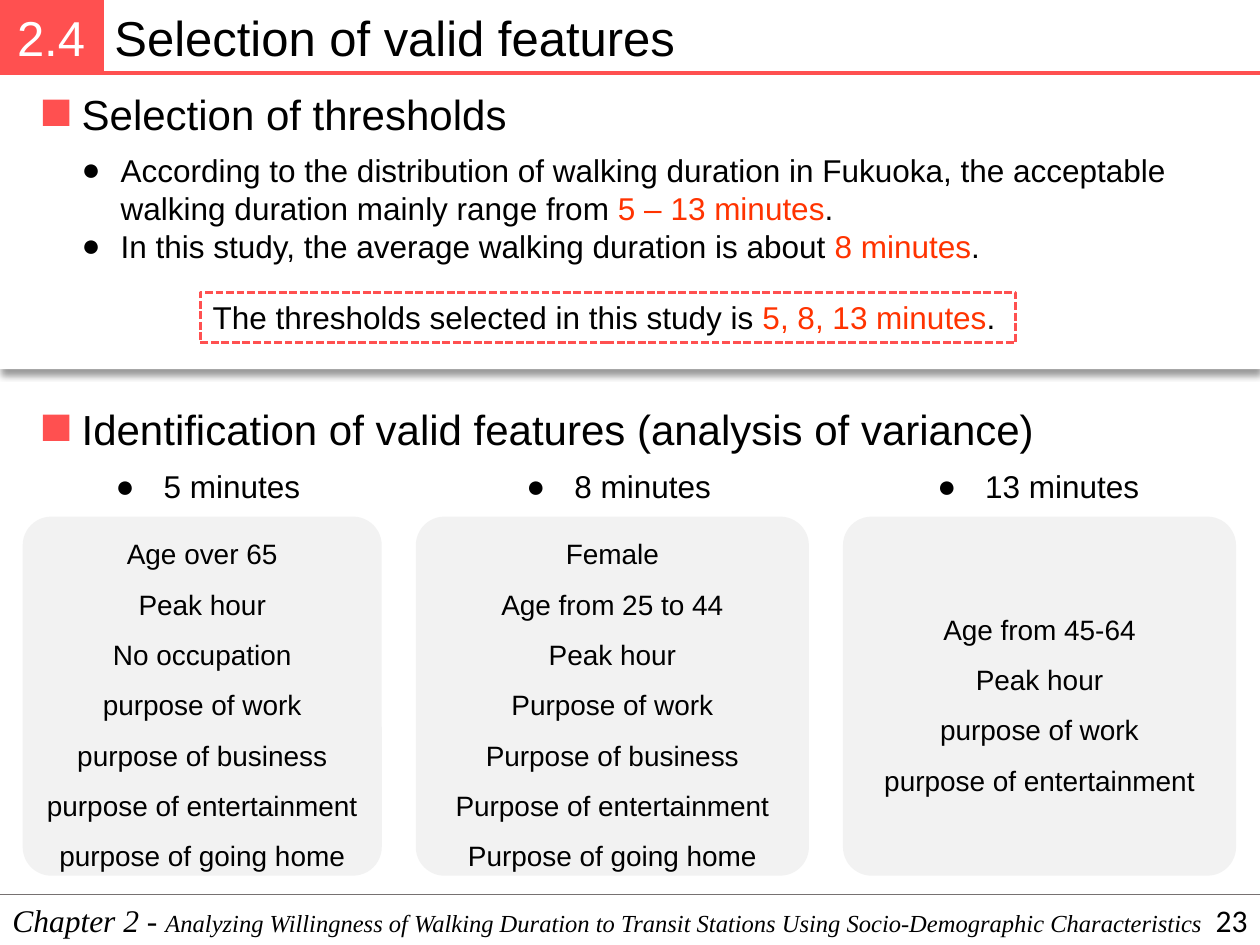
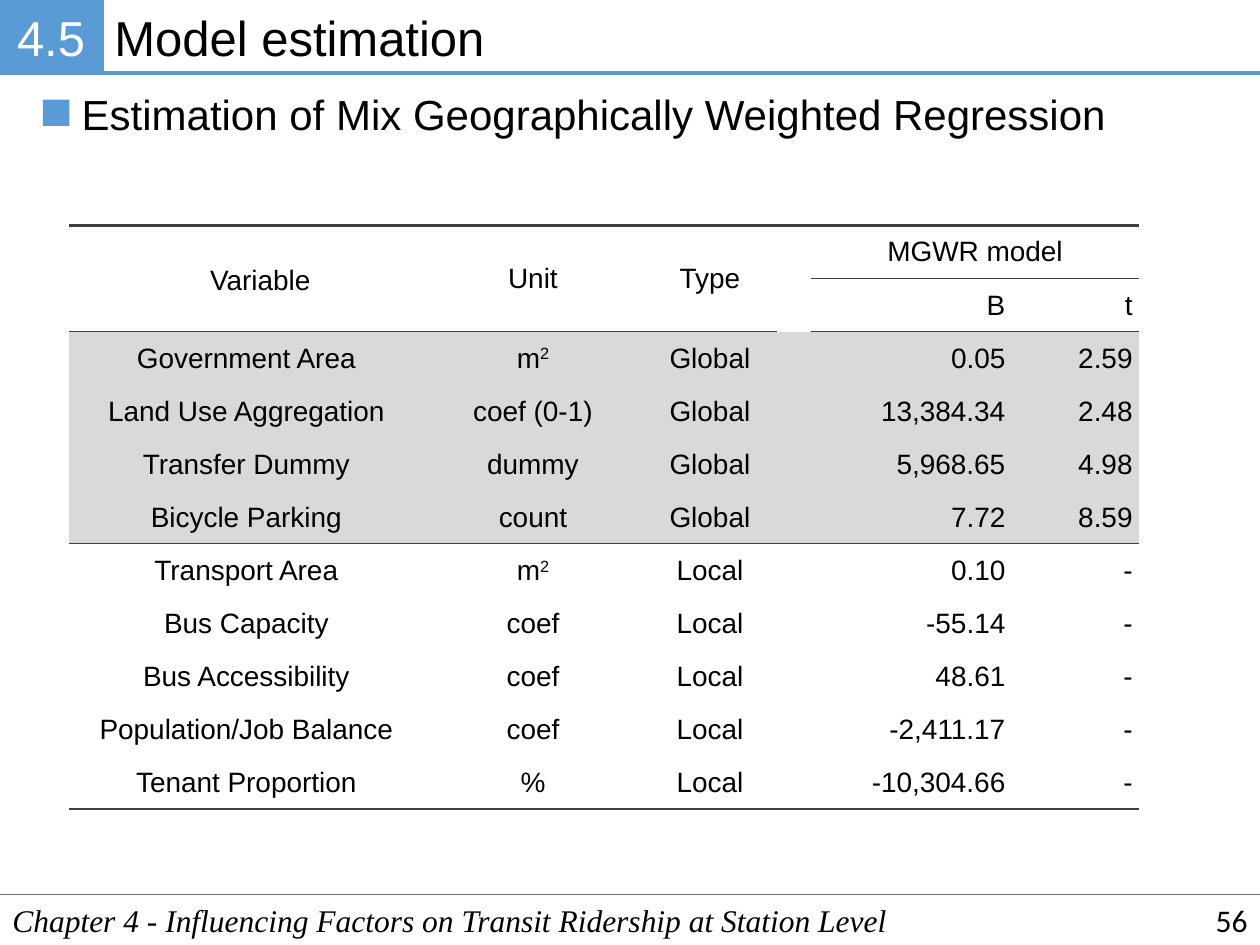
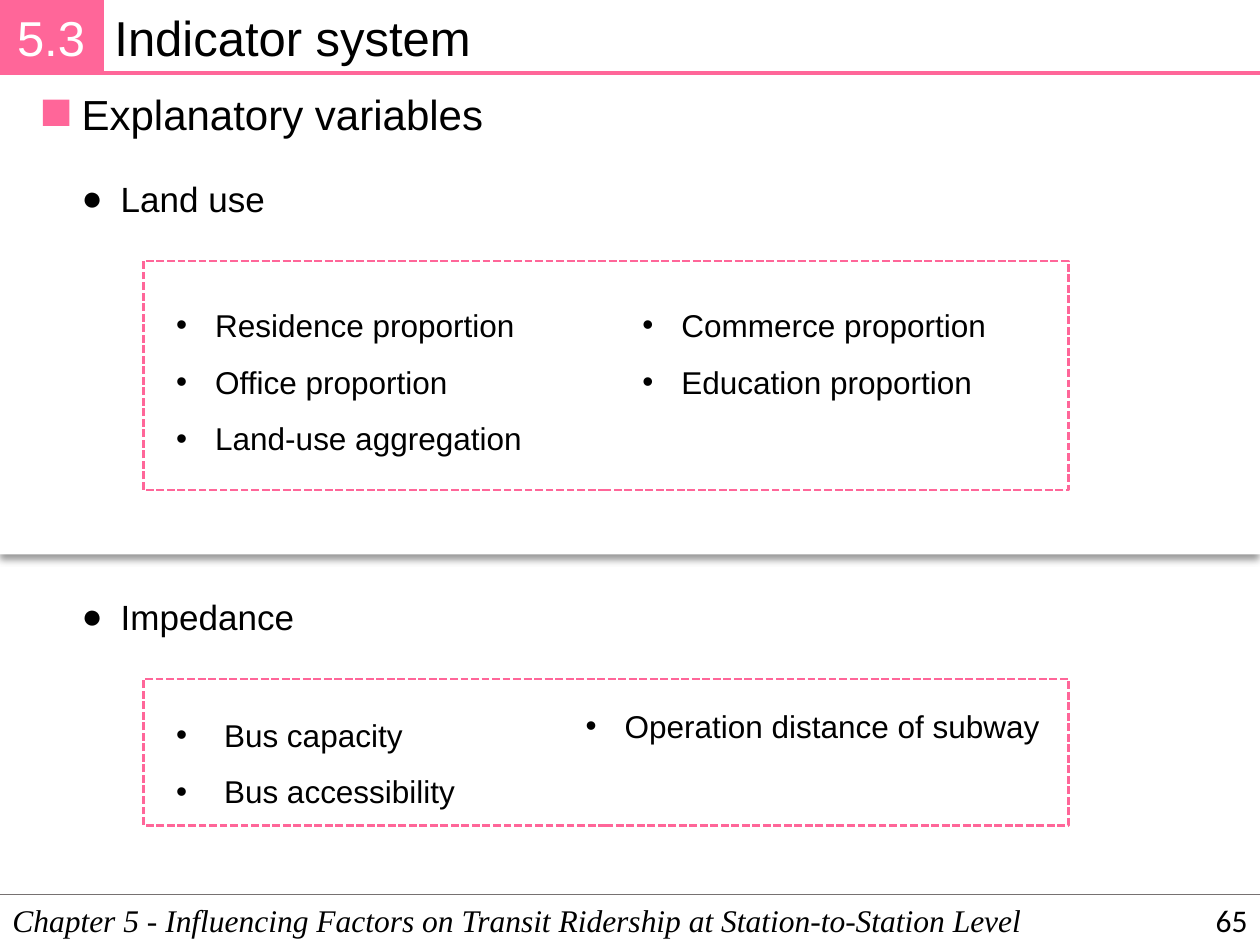
import dataclasses
from typing import NamedTuple

import lxml.etree
import pptx
import pptx.dml.color
import pptx.enum.dml
import pptx.enum.shapes
import pptx.enum.text
import pptx.oxml.ns
import pptx.shapes.autoshape
import pptx.shapes.connector
import pptx.shapes.shapetree
import pptx.slide
import pptx.table
import pptx.text.text
import pptx.util

Inches = pptx.util.Inches
Pt = pptx.util.Pt
qn = pptx.oxml.ns.qn
Align = pptx.enum.text.PP_ALIGN
Anchor = pptx.enum.text.MSO_ANCHOR
Preset = pptx.enum.shapes.MSO_SHAPE

BLACK = "000000"
WHITE = "FFFFFF"
HIGHLIGHT = "FF3300"
FOOTER_RULE = "767171"
CARD_FILL = "F2F2F2"
TABLE_RULE = "404040"
TABLE_SHADE = "D9D9D9"


class Box(NamedTuple):
    left: float
    top: float
    width: float
    height: float


class Run(NamedTuple):
    text: str
    color: str | None = None
    size: float | None = None
    raised: bool = False


Line = str | list[Run]


@dataclasses.dataclass(frozen=True)
class Style:
    size: float
    font: str = "Arial"
    color: str = BLACK
    align: Align = Align.LEFT
    spacing: float | None = None
    bullet: str | None = None
    indent: float = 0.31
    italic: bool = False


@dataclasses.dataclass(frozen=True)
class Section:
    number: str
    title: str
    accent: str
    chapter: Line
    page: str


@dataclasses.dataclass(frozen=True)
class FeatureCard:
    heading: str
    heading_left: float
    heading_width: float
    left: float
    width: float
    features: list[Line]


@dataclasses.dataclass(frozen=True)
class VariableList:
    box: Box
    style: Style
    wrap: bool
    variables: list[Line]


TITLE = Style(28)
SECTION_NUMBER = Style(28, color=WHITE, align=Align.CENTER)
HEADING = Style(24)
BODY = Style(18)
POINT = Style(18, bullet="●")
GROUP_POINT = Style(20, bullet="●")
THRESHOLD = Style(18, bullet="●", indent=0.38, align=Align.JUSTIFY)
FEATURE = Style(16, align=Align.CENTER, spacing=1.5)
VARIABLE = Style(18, bullet="•", spacing=1.5)
CHAPTER = Style(18, font="Times New Roman", italic=True)
PAGE = Style(18, font="Calibri", align=Align.RIGHT)
CELL = Style(16, align=Align.CENTER)
NUMBER_CELL = dataclasses.replace(CELL, align=Align.RIGHT)

SECTIONS = [
    Section("2.4", "Selection of valid features", "FF5050",
            [Run("Chapter 2 - "),
             Run("Analyzing Willingness of Walking Duration to Transit Stations "
                 "Using Socio-Demographic Characteristics", size=14)], "23"),
    Section("4.5", "Model estimation", "5B9BD5",
            "Chapter 4 - Influencing Factors on Transit Ridership at Station Level", "56"),
    Section("5.3", "Indicator system", "FF6699",
            "Chapter 5 - Influencing Factors on Transit Ridership at Station-to-Station Level", "65"),
]

FEATURE_CARDS = [
    FeatureCard("5 minutes", 0.82, 1.67, 0.18, 2.85,
                ["Age over 65", "Peak hour", "No occupation", "purpose of work",
                 "purpose of business", "purpose of entertainment", "purpose of going home"]),
    FeatureCard("8 minutes", 4.08, 1.67, 3.3, 3.12,
                ["Female", "Age from 25 to 44", "Peak hour", "Purpose of work",
                 "Purpose of business", "Purpose of entertainment", "Purpose of going home"]),
    FeatureCard("13 minutes", 7.34, 1.81, 6.69, 3.12,
                ["Age from 45-64", "Peak hour", "purpose of work", "purpose of entertainment"]),
]

VARIABLE_LISTS = [
    VariableList(Box(1.3, 2.23, 2.97, 1.41), VARIABLE, False,
                 ["Residence proportion", "Office proportion", "Land-use aggregation"]),
    VariableList(Box(5, 2.23, 2.96, 0.95), VARIABLE, False,
                 ["Commerce proportion", "Education proportion"]),
    VariableList(Box(1.3, 5.48, 2.83, 0.95), dataclasses.replace(VARIABLE, indent=0.38), True,
                 ["Bus capacity", "Bus accessibility"]),
    VariableList(Box(4.55, 5.56, 3.94, 0.4), dataclasses.replace(VARIABLE, spacing=None), True,
                 ["Operation distance of subway"]),
]

SQUARE_METRE = [Run("m"), Run("2", raised=True)]
MODEL_ROWS: list[list[Line]] = [
    ["　Variable", "Unit", "Type", "", "MGWR model", ""],
    ["", "", "", "", "B", "t"],
    ["Government Area", SQUARE_METRE, "Global", "", "0.05", "2.59"],
    ["Land Use Aggregation", "coef (0-1)", "Global", "", "13,384.34", "2.48"],
    ["Transfer Dummy", "dummy", "Global", "", "5,968.65", "4.98"],
    ["Bicycle Parking", "count", "Global", "", "7.72", "8.59"],
    ["Transport Area", SQUARE_METRE, "Local", "", "0.10", "-"],
    ["Bus Capacity", "coef", "Local", "", "-55.14", "-"],
    ["Bus Accessibility", "coef", "Local", "", "48.61", "-"],
    ["Population/Job Balance", "coef", "Local", "", "-2,411.17", "-"],
    ["Tenant Proportion", "%", "Local", "", "-10,304.66", "-"],
]
MODEL_WIDTHS = [2.81, 1.74, 1.07, 0.27, 1.59, 1.01]
GAP_COLUMN = 3
FIRST_GLOBAL, FIRST_LOCAL = 2, 6


def rgb(color: str) -> pptx.dml.color.RGBColor:
    return pptx.dml.color.RGBColor.from_string(color)


def emu(box: Box) -> list[pptx.util.Length]:
    return [Inches(length) for length in box]


def write(frame: pptx.text.text.TextFrame, lines: list[Line], style: Style) -> None:
    for index, line in enumerate(lines):
        paragraph = frame.add_paragraph() if index else frame.paragraphs[0]
        paragraph.alignment = style.align
        if style.spacing:
            paragraph.line_spacing = style.spacing
        if style.bullet:
            properties = paragraph._p.get_or_add_pPr()
            properties.set("marL", str(Inches(style.indent)))
            properties.set("indent", str(-Inches(style.indent)))
            lxml.etree.SubElement(properties, qn("a:buFont"), typeface="Arial")
            lxml.etree.SubElement(properties, qn("a:buChar"), char=style.bullet)
        paragraph.font.name = style.font
        paragraph.font.size = Pt(style.size)
        paragraph.font.color.rgb = rgb(style.color)
        if style.italic:
            paragraph.font.italic = True
        for piece in [Run(line)] if isinstance(line, str) else line:
            run = paragraph.add_run()
            run.text = piece.text
            if piece.color:
                run.font.color.rgb = rgb(piece.color)
            if piece.size:
                run.font.size = Pt(piece.size)
            if piece.raised:
                run._r.get_or_add_rPr().set("baseline", "30000")


def add_text(shapes: pptx.shapes.shapetree.SlideShapes, box: Box, lines: list[Line],
             style: Style, wrap: bool = True, anchor: Anchor = Anchor.TOP) -> None:
    frame = shapes.add_textbox(*emu(box)).text_frame
    frame.word_wrap = wrap
    frame.vertical_anchor = anchor
    write(frame, lines, style)


def add_block(shapes: pptx.shapes.shapetree.SlideShapes, box: Box, fill: str | None,
              preset: Preset = Preset.RECTANGLE) -> pptx.shapes.autoshape.Shape:
    block = shapes.add_shape(preset, *emu(box))
    block.shadow.inherit = False
    if fill:
        block.fill.solid()
        block.fill.fore_color.rgb = rgb(fill)
    else:
        block.fill.background()
    block.line.fill.background()
    return block


def add_dashed_frame(slide: pptx.slide.Slide, box: Box, color: str) -> pptx.shapes.autoshape.Shape:
    frame = add_block(slide.shapes, box, None)
    frame.line.color.rgb = rgb(color)
    frame.line.width = Pt(1.5)
    frame.line.dash_style = pptx.enum.dml.MSO_LINE.SQUARE_DOT
    return frame


def add_rule(slide: pptx.slide.Slide, left: float, top: float, color: str, weight: float) -> None:
    rule = slide.shapes.add_connector(pptx.enum.shapes.MSO_CONNECTOR.STRAIGHT,
                                      Inches(left), Inches(top), Inches(10), Inches(top))
    rule.line.color.rgb = rgb(color)
    rule.line.width = Pt(weight)
    lxml.etree.SubElement(rule._element.spPr, qn("a:effectLst"))


def add_raised_panel(slide: pptx.slide.Slide, height: float) -> None:
    panel = add_block(slide.shapes, Box(0, 0.59, 10, height), WHITE)
    effects = panel._element.spPr.find(qn("a:effectLst"))
    shadow = lxml.etree.SubElement(effects, qn("a:outerShdw"), blurRad=str(Pt(4)),
                                   dist=str(Pt(3)), dir="5400000", algn="t", rotWithShape="0")
    shade = lxml.etree.SubElement(shadow, qn("a:srgbClr"), val=BLACK)
    lxml.etree.SubElement(shade, qn("a:alpha"), val="40000")


def add_heading(slide: pptx.slide.Slide, text: str, top: float, width: float, accent: str) -> None:
    group = slide.shapes.add_group_shape()
    add_block(group.shapes, Box(0.34, top + 0.14, 0.21, 0.21), accent)
    add_text(group.shapes, Box(0.55, top, width, 0.5), [text], HEADING, wrap=False)


def add_section_slide(deck: pptx.presentation.Presentation, section: Section,
                      panel_height: float | None = None) -> pptx.slide.Slide:
    slide = deck.slides.add_slide(deck.slide_layouts[6])
    if panel_height:
        add_raised_panel(slide, panel_height)
    add_text(slide.shapes, Box(0, 7.1, 10, 0.4), [section.chapter], CHAPTER)
    add_rule(slide, 0, 7.1, FOOTER_RULE, 1)
    add_text(slide.shapes, Box(0.81, 0.01, 9.19, 0.57), [section.title], TITLE)
    badge = add_block(slide.shapes, Box(0, 0, 0.81, 0.58), section.accent)
    badge.line.color.rgb = rgb(section.accent)
    badge.line.width = Pt(2.25)
    frame = badge.text_frame
    frame.margin_left = frame.margin_right = frame.margin_top = frame.margin_bottom = Inches(0.06)
    write(frame, [section.number], SECTION_NUMBER)
    add_rule(slide, 0.81, 0.58, section.accent, 2.25)
    add_text(slide.shapes, Box(7.75, 7.1, 2.25, 0.4), [section.page], PAGE, anchor=Anchor.MIDDLE)
    return slide


def build_valid_features(deck: pptx.presentation.Presentation, section: Section) -> None:
    slide = add_section_slide(deck, section, 2.34)
    add_heading(slide, "Selection of thresholds", 0.65, 3.61, section.accent)
    add_text(slide.shapes, Box(0.55, 1.15, 8.99, 1.01), [
        [Run("According to the distribution of walking duration in Fukuoka, the acceptable "
             "walking duration mainly range from "), Run("5 – 13 minutes", HIGHLIGHT), Run(".")],
        [Run("In this study, the average walking duration is about "),
         Run("8 minutes", HIGHLIGHT), Run(".")],
    ], POINT)
    conclusion = add_dashed_frame(slide, Box(1.59, 2.32, 6.47, 0.4), section.accent)
    conclusion.text_frame.word_wrap = False
    conclusion.text_frame.vertical_anchor = Anchor.TOP
    write(conclusion.text_frame, [[Run("The thresholds selected in this study is "),
                                   Run("5, 8, 13 minutes", HIGHLIGHT), Run(".")]], BODY)
    add_heading(slide, "Identification of valid features (analysis of variance)",
                3.15, 7.84, section.accent)
    for card in FEATURE_CARDS:
        add_text(slide.shapes, Box(card.heading_left, 3.66, card.heading_width, 0.4),
                 [card.heading], THRESHOLD, wrap=False)
        block = add_block(slide.shapes, Box(card.left, 4.1, card.width, 2.85), CARD_FILL,
                          Preset.ROUNDED_RECTANGLE)
        block.adjustments[0] = 0.08
        block.text_frame.word_wrap = True
        write(block.text_frame, card.features, FEATURE)


def rule_weight(boundary: int, column: int) -> float:
    if boundary == 1:
        return 0.5 if column > GAP_COLUMN else 0
    if boundary == FIRST_GLOBAL:
        return 0 if column == GAP_COLUMN else 0.5
    return {0: 1.5, FIRST_LOCAL: 0.5, len(MODEL_ROWS): 1}.get(boundary, 0)


def set_border(cell: pptx.table._Cell, side: str, weight: float) -> None:
    border = lxml.etree.SubElement(cell._tc.get_or_add_tcPr(), qn(f"a:ln{side}"), w=str(Pt(weight)))
    if weight:
        fill = lxml.etree.SubElement(border, qn("a:solidFill"))
        lxml.etree.SubElement(fill, qn("a:srgbClr"), val=TABLE_RULE)
    else:
        lxml.etree.SubElement(border, qn("a:noFill"))


def format_cell(cell: pptx.table._Cell, row: int, column: int) -> None:
    bottom = row + (cell.span_height if cell.is_merge_origin else 1)
    weights = {"L": 0, "R": 0, "T": rule_weight(row, column), "B": rule_weight(bottom, column)}
    for side, weight in weights.items():
        set_border(cell, side, weight)
    if FIRST_GLOBAL <= row < FIRST_LOCAL:
        cell.fill.solid()
        cell.fill.fore_color.rgb = rgb(TABLE_SHADE)
    else:
        cell.fill.background()
    margins = (0.11, 0.06, 0.06) if row == 0 else (0.05, 0.01, 0)
    side_margin, cell.margin_top, cell.margin_bottom = [Inches(margin) for margin in margins]
    cell.margin_left = cell.margin_right = side_margin
    cell.vertical_anchor = Anchor.MIDDLE


def build_model_estimation(deck: pptx.presentation.Presentation, section: Section) -> None:
    slide = add_section_slide(deck, section)
    add_heading(slide, "Estimation of Mix Geographically Weighted Regression",
                0.65, 8.42, section.accent)
    box = Box(0.55, 1.79, sum(MODEL_WIDTHS), 4.63)
    table = slide.shapes.add_table(len(MODEL_ROWS), len(MODEL_WIDTHS), *emu(box)).table
    table.first_row = table.horz_banding = False
    for column, width in enumerate(MODEL_WIDTHS):
        table.columns[column].width = Inches(width)
    for column in range(GAP_COLUMN):
        table.cell(0, column).merge(table.cell(1, column))
    table.cell(0, 4).merge(table.cell(0, 5))
    for row, values in enumerate(MODEL_ROWS):
        for column, value in enumerate(values):
            cell = table.cell(row, column)
            format_cell(cell, row, column)
            if value:
                numeric = row > 0 and column > GAP_COLUMN
                write(cell.text_frame, [value], NUMBER_CELL if numeric else CELL)


def build_indicator_system(deck: pptx.presentation.Presentation, section: Section) -> None:
    slide = add_section_slide(deck, section, 3.81)
    add_heading(slide, "Explanatory variables", 0.65, 3.5, section.accent)
    add_text(slide.shapes, Box(0.55, 1.36, 1.67, 0.44), ["Land use"], GROUP_POINT, wrap=False)
    add_text(slide.shapes, Box(0.55, 4.68, 1.9, 0.44), ["Impedance"], GROUP_POINT, wrap=False)
    for entry in VARIABLE_LISTS:
        add_text(slide.shapes, entry.box, entry.variables, entry.style, entry.wrap)
    for top, height in [(2.07, 1.82), (5.39, 1.16)]:
        add_dashed_frame(slide, Box(1.14, top, 7.34, height), section.accent)


def main() -> None:
    deck = pptx.Presentation()
    deck.slide_width, deck.slide_height = Inches(10), Inches(7.5)
    builders = [build_valid_features, build_model_estimation, build_indicator_system]
    for build, section in zip(builders, SECTIONS):
        build(deck, section)
    deck.save("out.pptx")


if __name__ == "__main__":
    main()
